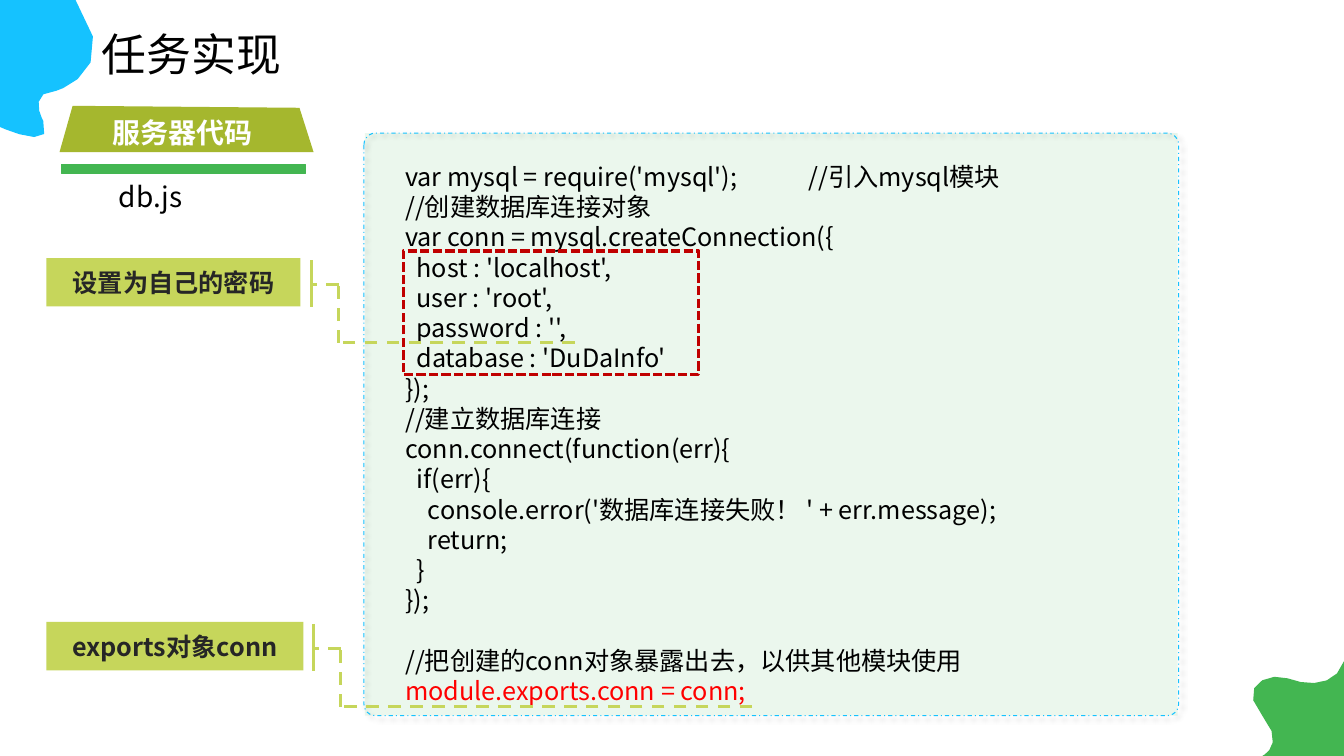
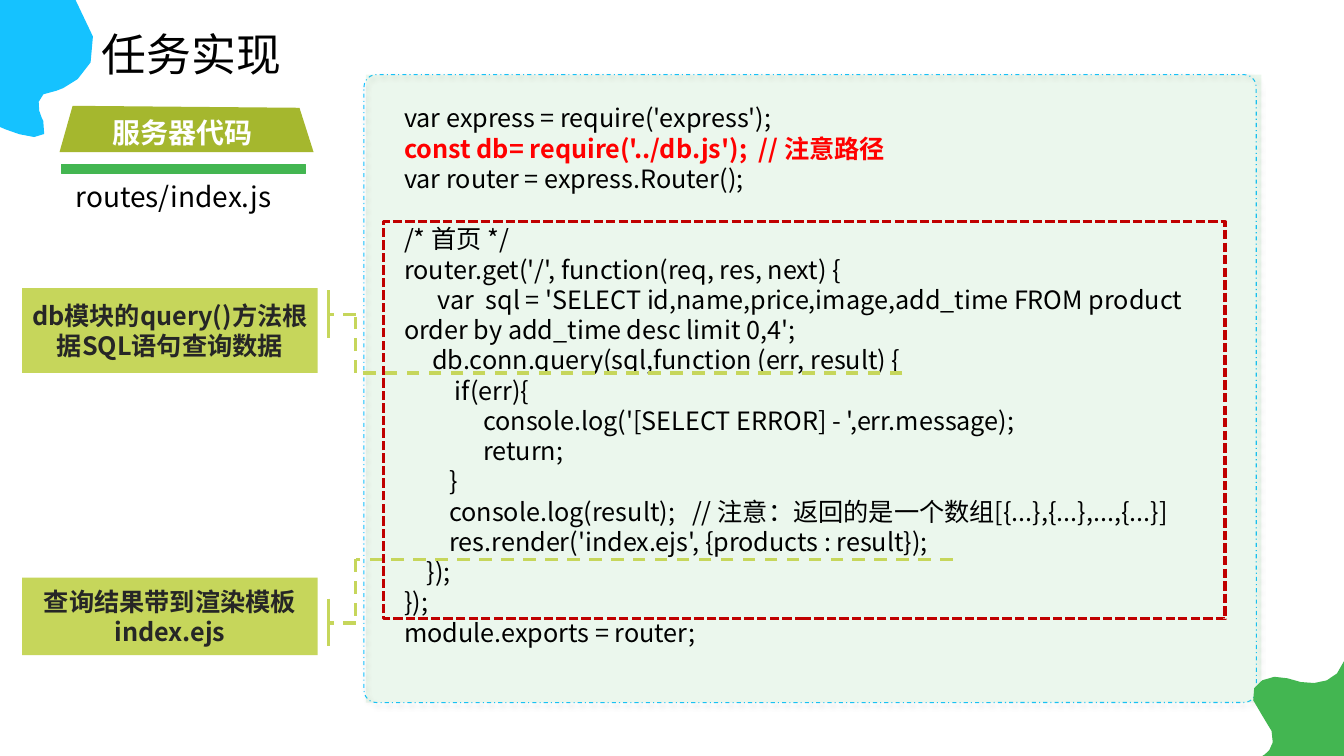
"""Build two slides that walk through the server code of a task."""
import dataclasses

import lxml.etree
import pptx
import pptx.dml.color
import pptx.enum.dml
import pptx.enum.shapes
import pptx.enum.text
import pptx.oxml.ns
import pptx.util

Inches = pptx.util.Inches
Pt = pptx.util.Pt
qn = pptx.oxml.ns.qn
Dash = pptx.enum.dml.MSO_LINE
Preset = pptx.enum.shapes.MSO_SHAPE
CENTER = pptx.enum.text.PP_ALIGN.CENTER


@dataclasses.dataclass(frozen=True)
class Theme:
    """Colours, font and type sizes."""
    font: str = "Noto Sans CJK SC"
    blue: str = "15C2FF"
    green: str = "43B651"
    olive: str = "A5B72E"
    lime: str = "C6D65B"
    red: str = "FF0000"
    dark_red: str = "C00000"
    ink: str = "000000"
    charcoal: str = "262626"
    white: str = "FFFFFF"
    title_size: int = 32
    heading_size: int = 20
    body_size: int = 18
    blank_line: float = 21.6


BLUE_BLOB = ((0, 1.26), [
    ((0, 1.26), (0.57, 1.52), (0.43, 1.2)),
    ((0.43, 1.2), (0.26, 0.91), (0.56, 0.9)),
    ((0.56, 0.9), (1.25, 0.7), (0.75, 0)),
], (0, 0))
GREEN_BLOB = ((12.52, 7.5), [
    ((12.52, 7.5), (12.76, 7.39), (12.52, 7.1)),
    ((12.27, 6.82), (12.56, 6.66), (12.77, 6.73)),
    ((12.98, 6.81), (13.25, 6.81), (13.33, 6.56)),
], (13.33, 7.5))

DB_CODE = """\
var mysql = require('mysql');\t//引入mysql模块
//创建数据库连接对象
var conn = mysql.createConnection({
  host : 'localhost',
  user : 'root',
  password : '',
  database : 'DuDaInfo'
});
//建立数据库连接
conn.connect(function(err){
  if(err){
    console.error('数据库连接失败！ ' + err.message);
    return;
  }
});

//把创建的conn对象暴露出去，以供其他模块使用
module.exports.conn = conn;"""

ROUTE_CODE = """\
var express = require('express');
const db= require('../db.js');  // 注意路径
var router = express.Router();

/* 首页 */
router.get('/', function(req, res, next) {
      var  sql = 'SELECT id,name,price,image,add_time FROM product order by add_time desc limit 0,4';
     db.conn.query(sql,function (err, result) {
         if(err){
              console.log('[SELECT ERROR] - ',err.message);
              return;
        }
        console.log(result);   // 注意：返回的是一个数组[{...},{...},...,{...}]
        res.render('index.ejs', {products : result});
    });
});
module.exports = router;"""


def trace(start, curves, corner, steps=5):
    """Return the points of an outline made of Bezier curves and a corner."""
    points = [start]
    for first, second, end in curves:
        origin = points[-1]
        for step in range(1, steps + 1):
            t = step / steps
            weights = ((1 - t) ** 3, 3 * t * (1 - t) ** 2, 3 * t * t * (1 - t), t ** 3)
            controls = (origin, first, second, end)
            points.append(tuple(sum(w * c[axis] for w, c in zip(weights, controls))
                                for axis in (0, 1)))
    return points + [corner]


class Deck:
    """Holds the theme and the slide being drawn."""

    def __init__(self, theme):
        self.theme = theme
        self.presentation = pptx.Presentation()
        self.presentation.slide_width = Inches(13.33)
        self.presentation.slide_height = Inches(7.5)
        self.page = None

    def add_page(self):
        """Start a blank slide."""
        self.page = self.presentation.slides.add_slide(self.presentation.slide_layouts[6])

    def paint(self, shape, fill=None, line=None, width=1, dash=None):
        """Set fill and line and drop the inherited shadow."""
        shape.shadow.inherit = False
        if fill:
            shape.fill.solid()
            shape.fill.fore_color.rgb = pptx.dml.color.RGBColor.from_string(fill)
        else:
            shape.fill.background()
        if line:
            self.stroke(shape.line, line, width, dash)
        else:
            shape.line.fill.background()
        return shape

    def stroke(self, line, color, width, dash=None):
        """Set the look of a line."""
        line.color.rgb = pptx.dml.color.RGBColor.from_string(color)
        line.width = Pt(width)
        if dash:
            line.dash_style = dash

    def box(self, area, preset=Preset.RECTANGLE, **look):
        """Add a preset shape."""
        shape = self.page.shapes.add_shape(preset, *map(Inches, area))
        return self.paint(shape, **look)

    def outline(self, points, fill):
        """Add a closed freeform."""
        points = [(Inches(x), Inches(y)) for x, y in points]
        builder = self.page.shapes.build_freeform(*points[0], scale=1.0)
        builder.add_line_segments(points[1:], close=True)
        return self.paint(builder.convert_to_shape(), fill)

    def line(self, start, end, dash=None):
        """Add a straight callout line."""
        connector = self.page.shapes.add_connector(
            pptx.enum.shapes.MSO_CONNECTOR.STRAIGHT, *map(Inches, start + end))
        self.stroke(connector.line, self.theme.lime, 2.25, dash)
        lxml.etree.SubElement(connector._element.spPr, qn("a:effectLst"))

    def style(self, para, size, color, bold=False):
        """Set the font of a paragraph for Latin and Chinese text."""
        para.font.name = self.theme.font
        para.font.size = Pt(size)
        para.font.bold = bold
        para.font.color.rgb = pptx.dml.color.RGBColor.from_string(color)
        defaults = para._p.pPr.find(qn("a:defRPr"))
        lxml.etree.SubElement(defaults, qn("a:ea")).set("typeface", self.theme.font)

    def text(self, area, content, size, color, bold=False):
        """Add a text box with one paragraph."""
        frame = self.page.shapes.add_textbox(*map(Inches, area)).text_frame
        frame.word_wrap = True
        frame.text = content
        self.style(frame.paragraphs[0], size, color, bold)

    def code(self, area, source, marked, bold=False):
        """Add a code listing with one line marked in red."""
        theme = self.theme
        frame = self.page.shapes.add_textbox(*map(Inches, area)).text_frame
        frame.word_wrap = True
        para, gap = frame.paragraphs[0], False
        for number, content in enumerate(source.splitlines()):
            if not content:
                gap = True
                continue
            if number:
                para = frame.add_paragraph()
            para.text = content
            if gap:
                para.space_before = Pt(theme.blank_line)
                gap = False
            if "\t" in content:
                stops = lxml.etree.SubElement(para._p.get_or_add_pPr(), qn("a:tabLst"))
                lxml.etree.SubElement(stops, qn("a:tab"), pos=str(Inches(4)), algn="l")
            hit = content.startswith(marked)
            self.style(para, theme.body_size, theme.red if hit else theme.ink, hit and bold)

    def tint(self, area):
        """Add the translucent code panel."""
        panel = self.box(area, fill=self.theme.green)
        color = panel._element.spPr.find(".//" + qn("a:srgbClr"))
        lxml.etree.SubElement(color, qn("a:alpha")).set("val", "10000")

    def frame(self, area):
        """Add the rounded panel border with its soft shadow."""
        border = self.box(area, Preset.ROUNDED_RECTANGLE, line=self.theme.blue,
                          width=0.75, dash=Dash.DASH_DOT)
        border.adjustments[0] = 0.02
        effects = border._element.spPr.find(qn("a:effectLst"))
        shadow = lxml.etree.SubElement(effects, qn("a:outerShdw"), blurRad=str(Pt(4)),
                                       dist=str(Pt(3)), dir="2700000", algn="tl")
        color = lxml.etree.SubElement(shadow, qn("a:srgbClr"), val=self.theme.ink)
        lxml.etree.SubElement(color, qn("a:alpha"), val="40000")

    def corners(self):
        """Add the two corner blobs."""
        self.outline(trace(*BLUE_BLOB), self.theme.blue)
        self.outline(trace(*GREEN_BLOB), self.theme.green)

    def heading(self, file_area, file_name):
        """Add the title, the section badge and the file name."""
        theme = self.theme
        self.text((0.91, 0.22, 1.99, 0.64), "任务实现", theme.title_size, theme.ink)
        self.text(file_area, file_name, theme.heading_size, theme.ink)
        self.box((0.61, 1.63, 2.42, 0.09), fill=theme.green, line=theme.green)
        self.outline([(0.72, 1.05), (2.97, 1.07), (3.11, 1.51), (0.59, 1.51)], theme.olive)
        self.text((1.02, 1.1, 1.62, 0.44), "服务器代码", theme.heading_size, theme.white, True)

    def highlight(self, area):
        """Add a dashed red border around code."""
        self.box(area, line=self.theme.dark_red, width=2.25, dash=Dash.SQUARE_DOT)

    def callout(self, area, content, bar, target):
        """Add a label with a bar and a dashed elbow to the target point."""
        label = self.box(area, fill=self.theme.lime)
        frame = label.text_frame
        frame.word_wrap = True
        frame.vertical_anchor = pptx.enum.text.MSO_ANCHOR.MIDDLE
        frame.text = content
        for para in frame.paragraphs:
            para.alignment = CENTER
            self.style(para, self.theme.body_size, self.theme.charcoal, True)
        x, y = bar
        elbow = x + 0.27
        route = [target, (elbow, target[1]), (elbow, y), bar]
        for start, end in zip(route, route[1:]):
            self.line(start, end, Dash.DASH)
        self.line((x, y - 0.24), (x, y + 0.23))


def main():
    """Draw both slides and save the deck."""
    deck = Deck(Theme())

    deck.add_page()
    deck.tint((3.62, 1.32, 8.06, 5.78))
    deck.corners()
    deck.frame((3.61, 1.32, 8.08, 5.78))
    deck.code((3.92, 1.55, 7.78, 5.55), DB_CODE, "module.exports.conn")
    deck.highlight((4, 2.49, 2.93, 1.23))
    deck.callout((0.46, 2.56, 2.52, 0.48), "设置为自己的密码", (3.09, 2.82), (5.7, 3.4))
    deck.heading((1.08, 1.73, 1.45, 0.44), "db.js")
    deck.callout((0.46, 6.17, 2.55, 0.48), "exports对象conn", (3.11, 6.43), (7.46, 7.01))

    deck.add_page()
    deck.frame((3.61, 0.74, 8.85, 6.23))
    deck.corners()
    deck.tint((3.63, 0.74, 8.88, 6.23))
    deck.code((3.91, 0.97, 8.54, 5.55), ROUTE_CODE, "const db", bold=True)
    deck.highlight((3.8, 2.2, 8.35, 3.94))
    deck.callout((0.22, 2.86, 2.93, 0.84), "db模块的query()方法根据SQL语句查询数据",
                 (3.26, 3.12), (8.95, 3.7))
    deck.callout((0.22, 5.73, 2.93, 0.77), "查询结果带到渲染模板\nindex.ejs",
                 (3.26, 6.18), (9.45, 5.55))
    deck.heading((0.65, 1.73, 2.29, 0.44), "routes/index.js")

    deck.presentation.save("out.pptx")


if __name__ == "__main__":
    main()
